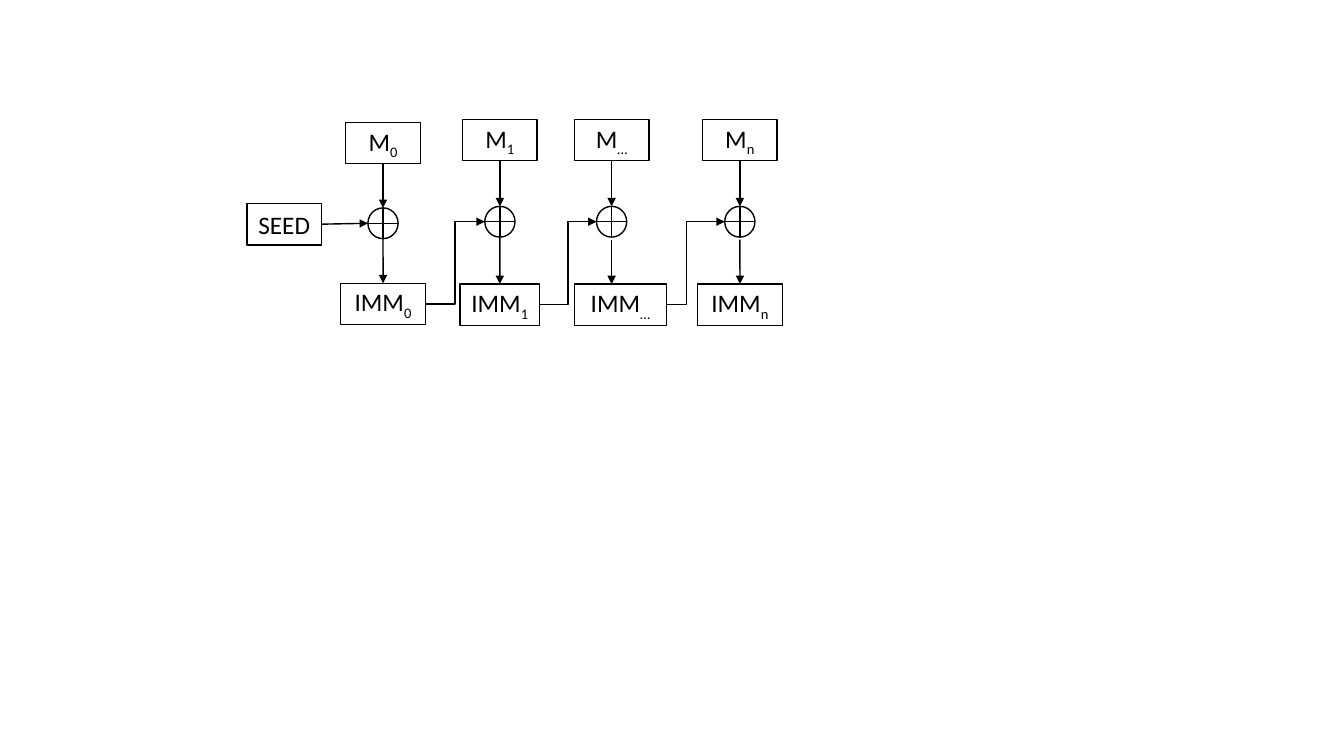
from pptx import Presentation
from pptx.dml.color import RGBColor
from pptx.enum.shapes import MSO_CONNECTOR as Link, MSO_SHAPE as Preset
from pptx.enum.text import MSO_ANCHOR as Anchor, PP_ALIGN as Align
from pptx.oxml.ns import qn
from pptx.util import Pt
from lxml.etree import SubElement

BLACK = RGBColor(0x00, 0x00, 0x00)
WHITE = RGBColor(0xFF, 0xFF, 0xFF)
TOP, BOTTOM, RIGHT = 0, 2, 3

BOX_WIDTH, BOX_HEIGHT = 53.3, 29.5
XOR_WIDTH, XOR_HEIGHT = 21.6, 22


class Diagram:
    """Draws the boxes, XOR nodes and arrows of one page."""

    font = "Calibri"
    size = 18
    line_width = 1

    def __init__(self, page):
        self.page = page

    def shape(self, preset, left, top, width, height):
        shape = self.page.shapes.add_shape(
            preset, Pt(left), Pt(top), Pt(width), Pt(height))
        shape.shadow.inherit = False
        shape.fill.solid()
        shape.fill.fore_color.rgb = WHITE
        shape.line.color.rgb = BLACK
        shape.line.width = Pt(self.line_width)
        return shape

    def box(self, left, top, width, text, subscript=""):
        box = self.shape(Preset.RECTANGLE, left, top, width, BOX_HEIGHT)
        frame = box.text_frame
        frame.word_wrap = False
        frame.vertical_anchor = Anchor.MIDDLE
        para = frame.paragraphs[0]
        para.alignment = Align.CENTER
        para.text = text
        if subscript:
            span = para.add_run()
            span.text = subscript
            span.font._element.set("baseline", "-25000")
        for span in para.runs:
            span.font.name = self.font
            span.font.size = Pt(self.size)
            span.font.color.rgb = BLACK
        return box

    def xor(self, center, top):
        return self.shape(
            Preset.FLOWCHART_OR, center - XOR_WIDTH / 2, top, XOR_WIDTH, XOR_HEIGHT)

    def arrow(self, start, end, kind=Link.STRAIGHT, bend=None):
        arrow = self.page.shapes.add_connector(kind, *(Pt(v) for v in start + end))
        arrow.line.color.rgb = BLACK
        arrow.line.width = Pt(self.line_width)
        SubElement(arrow.line._get_or_add_ln(), qn("a:tailEnd"), type="triangle")
        properties = arrow._element.spPr
        SubElement(properties, qn("a:effectLst"))
        if bend is not None:
            guides = properties.find(qn("a:prstGeom")).find(qn("a:avLst"))
            SubElement(guides, qn("a:gd"), name="adj1", fmla=f"val {round(bend * 100000)}")
        return arrow


def main():
    deck = Presentation()
    deck.slide_width, deck.slide_height = Pt(960), Pt(540)
    diagram = Diagram(deck.slides.add_slide(deck.slide_layouts[6]))

    # Seed
    seed = diagram.box(176.4, 145.4, BOX_WIDTH, "SEED")
    seed_end = (176.4 + BOX_WIDTH, 145.4 + BOX_HEIGHT / 2)

    # Columns: subscript, center, message top, XOR top, result left, top and
    # width, gap under the XOR, bend of the arrow coming from the left
    columns = [
        ("0", 273.6, 87.4, 148.5, 243.4, 202.3, 60.5, 0, None),
        ("1", 357.1, 85.3, 147.4, 328.5, 202.9, 57.1, 0, 0.5),
        ("…", 436.9, 85.3, 147.4, 410.3, 202.9, 65.8, 1.8, 0.5),
        ("n", 528.5, 85.3, 147.4, 498.3, 202.9, 60.5, 1.8, 0.344),
    ]
    previous_end = None
    for mark, center, top, xor_top, left, result_top, width, gap, bend in columns:
        message = diagram.box(center - BOX_WIDTH / 2, top, BOX_WIDTH, "M", mark)
        result = diagram.box(left, result_top, width, "IMM", mark)
        xor = diagram.xor(center, xor_top)

        # Message into XOR
        down = diagram.arrow((center, top + BOX_HEIGHT), (center, xor_top))
        down.begin_connect(message, BOTTOM)
        down.end_connect(xor, TOP)

        # XOR into result
        down = diagram.arrow((center, xor_top + XOR_HEIGHT + gap), (center, result_top))
        if abs(left + width / 2 - center) < 1:
            down.end_connect(result, TOP)

        # Seed or previous result into XOR
        xor_side = (center - XOR_WIDTH / 2, xor_top + XOR_HEIGHT / 2)
        if previous_end is None:
            diagram.arrow(seed_end, xor_side).begin_connect(seed, RIGHT)
        else:
            diagram.arrow(previous_end, xor_side, Link.ELBOW, bend)
        previous_end = (left + width, result_top + BOX_HEIGHT / 2)

    deck.save("out.pptx")


if __name__ == "__main__":
    main()
